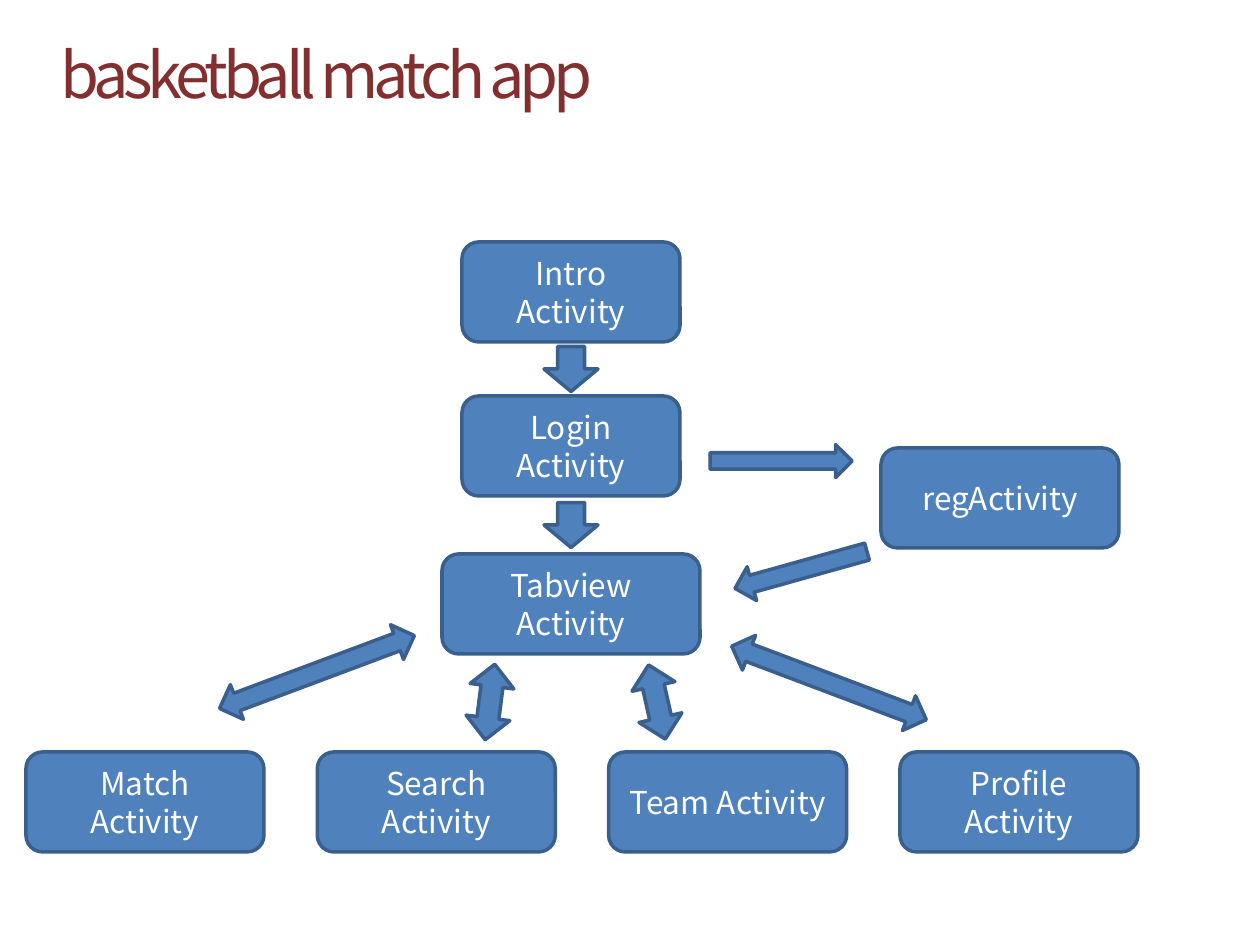
from dataclasses import dataclass

from pptx import Presentation
from pptx.dml.color import RGBColor
from pptx.enum.shapes import MSO_SHAPE as Shape
from pptx.enum.text import MSO_ANCHOR as Anchor, PP_ALIGN as Align
from pptx.util import Pt

EMU_PER_PX = 914400 / 126
BOX_HEIGHT = 100
TAB_WIDTH = 238


@dataclass(frozen=True)
class Theme:
    font: str = "Noto Sans CJK KR"
    title_size: int = 36
    title_spacing: int = -3
    box_size: int = 18
    line_width: int = 2
    title: RGBColor = RGBColor(0x83, 0x2F, 0x2F)
    fill: RGBColor = RGBColor(0x4F, 0x81, 0xBD)
    line: RGBColor = RGBColor(0x3A, 0x5F, 0x8C)
    box_text: RGBColor = RGBColor(0xFF, 0xFF, 0xFF)


THEME = Theme()


def px(*lengths):
    return [round(length * EMU_PER_PX) for length in lengths]


def style_font(paragraph, size, color):
    paragraph.font.name = THEME.font
    paragraph.font.size = Pt(size)
    paragraph.font.color.rgb = color


def add_block(slide, kind, left, top, width, height):
    """Add a preset shape in the diagram's common fill and outline."""
    shape = slide.shapes.add_shape(kind, *px(left, top, width, height))
    shape.shadow.inherit = False
    shape.fill.solid()
    shape.fill.fore_color.rgb = THEME.fill
    shape.line.color.rgb = THEME.line
    shape.line.width = Pt(THEME.line_width)
    return shape


def add_activity(slide, name, left, top, width):
    shape = add_block(slide, Shape.ROUNDED_RECTANGLE, left, top, width, BOX_HEIGHT)
    frame = shape.text_frame
    frame.word_wrap = True
    frame.vertical_anchor = Anchor.MIDDLE
    paragraph = frame.paragraphs[0]
    paragraph.text = name
    paragraph.alignment = Align.CENTER
    style_font(paragraph, THEME.box_size, THEME.box_text)


def add_arrow(slide, kind, center_x, center_y, length, thickness, angle=0):
    arrow = add_block(slide, kind, center_x - length / 2, center_y - thickness / 2,
                      length, thickness)
    arrow.rotation = angle


def add_title(slide, left, top, width, height):
    box = slide.shapes.add_textbox(*px(left, top, width, height))
    box.text_frame.word_wrap = True
    paragraph = box.text_frame.paragraphs[0]
    run = paragraph.add_run()
    run.text = "basketball match app"
    run.font._element.set("spc", str(THEME.title_spacing * 100))
    style_font(paragraph, THEME.title_size, THEME.title)


def add_main_flow(slide, left, top, width):
    """Stack the start screens, centred, with a down arrow in each gap."""
    center = left + width / 2
    steps = [("Intro Activity", 0, 218), ("Login Activity", 154, 218),
             ("Tabview Activity", 312, width)]
    for name, offset, step_width in steps:
        add_activity(slide, name, center - step_width / 2, top + offset, step_width)
    for offset in (127, 283):
        add_arrow(slide, Shape.RIGHT_ARROW, center, top + offset, 45, 54, 90)


def add_registration(slide, left, top, width):
    """Place the registration screen with its arrows in and out on the left."""
    add_activity(slide, "regActivity", left, top, width)
    add_arrow(slide, Shape.RIGHT_ARROW, left - 100, top + 13, 142, 33)
    add_arrow(slide, Shape.RIGHT_ARROW, left - 80, top + 122, 137, 35, 164.4)


def add_tabs(slide, left, top, width):
    """Spread the tab screens evenly below their two-way arrows."""
    names = ["Match Activity", "Search Activity", "Team Activity", "Profile Activity"]
    pitch = (width - TAB_WIDTH) / (len(names) - 1)
    for index, name in enumerate(names):
        add_activity(slide, name, left + index * pitch, top, TAB_WIDTH)
    arrows = [(291, -80, 208, 37, 339.5), (464, -50, 76, 44, 277.2),
              (631, -50, 76, 44, 257.3), (803, -69, 208, 37, 20.7)]
    for x, y, length, thickness, angle in arrows:
        add_arrow(slide, Shape.LEFT_RIGHT_ARROW, left + x, top + y,
                  length, thickness, angle)


def main():
    presentation = Presentation()
    presentation.slide_width, presentation.slide_height = px(1260, 945)
    slide = presentation.slides.add_slide(presentation.slide_layouts[6])
    add_title(slide, 48, 29, 662, 89)
    add_main_flow(slide, 442, 242, 258)
    add_registration(slide, 881, 448, TAB_WIDTH)
    add_tabs(slide, 26, 752, 1112)
    presentation.save("out.pptx")


if __name__ == "__main__":
    main()
